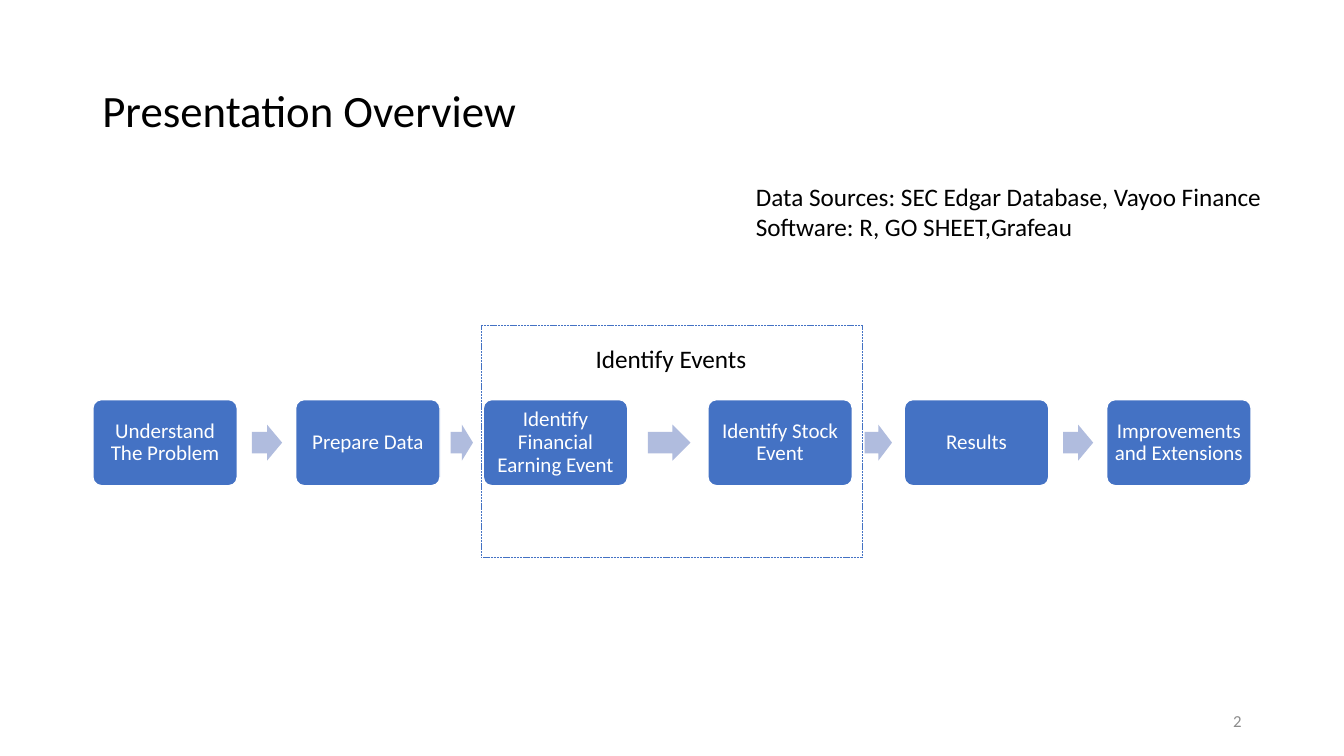
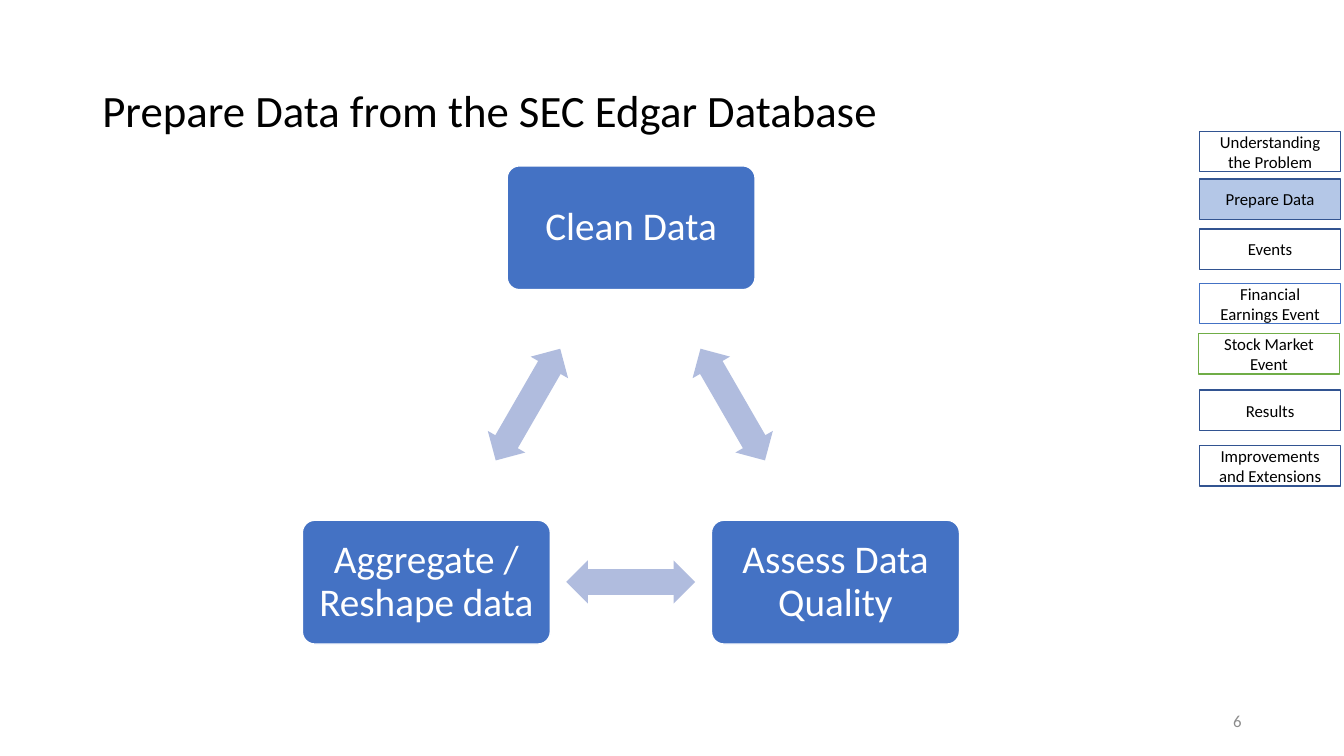
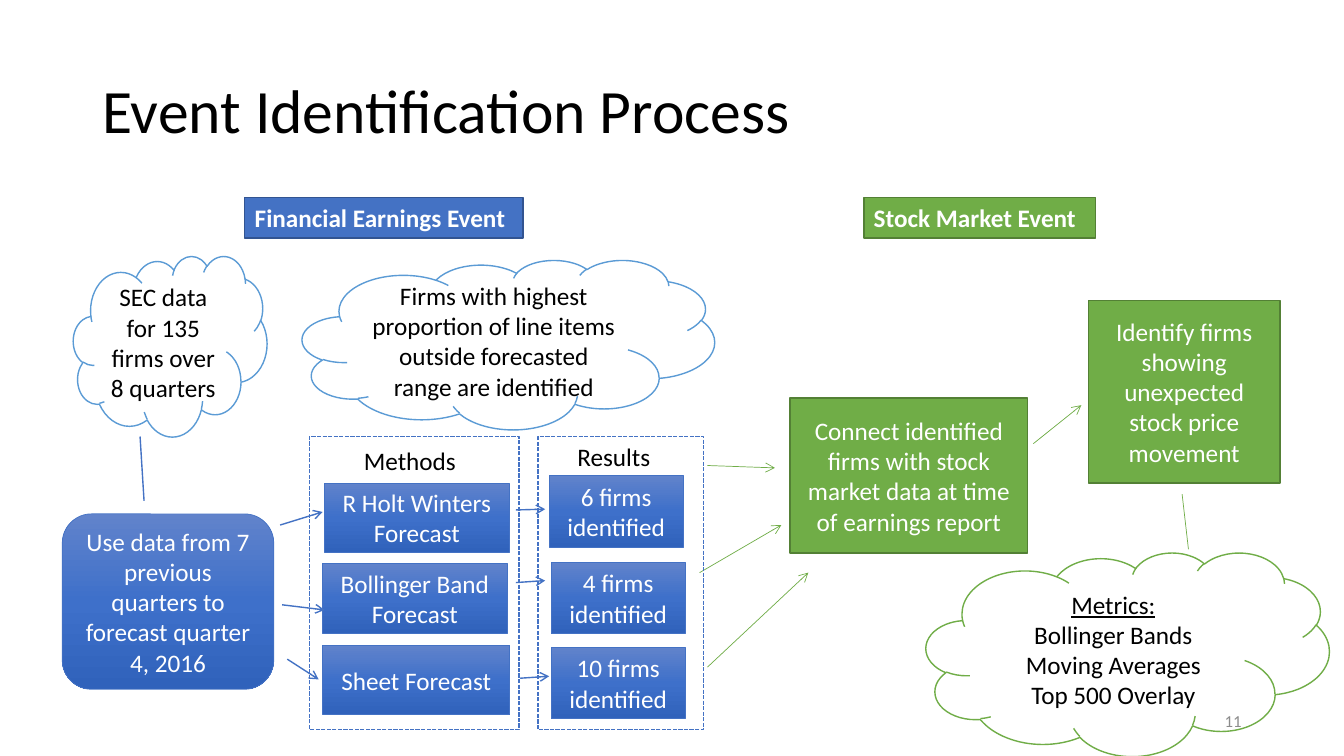
import copy

import pptx
import pptx.dml.color
import pptx.enum.dml
import pptx.enum.shapes
import pptx.enum.text
import pptx.oxml
import pptx.oxml.ns
import pptx.util

Cm = pptx.util.Cm
Pt = pptx.util.Pt
RGBColor = pptx.dml.color.RGBColor
Shape = pptx.enum.shapes.MSO_SHAPE
Align = pptx.enum.text.PP_ALIGN
Anchor = pptx.enum.text.MSO_ANCHOR
Dash = pptx.enum.dml.MSO_LINE
qn = pptx.oxml.ns.qn

FONT = "Calibri"
BLACK = RGBColor(0x00, 0x00, 0x00)
WHITE = RGBColor(0xFF, 0xFF, 0xFF)
GREY = RGBColor(0x8C, 0x8C, 0x8C)
BLUE = RGBColor(0x44, 0x72, 0xC4)
DARK_BLUE = RGBColor(0x32, 0x54, 0x91)
LIGHT_BLUE = RGBColor(0xB4, 0xC7, 0xE7)
CLOUD_BLUE = RGBColor(0x5B, 0x9B, 0xD5)
ARROW_BLUE = RGBColor(0xB0, 0xBC, 0xDE)
GREEN = RGBColor(0x70, 0xAD, 0x47)
DARK_GREEN = RGBColor(0x53, 0x80, 0x35)
BLUE_GRADIENT = [
    RGBColor(0x61, 0x83, 0xCB),
    RGBColor(0x3E, 0x70, 0xCA),
    RGBColor(0x30, 0x62, 0xBB),
]


def add_box(slide, text, at, kind=None, fill=None, line=None, line_width=1, dash=None,
            adjustments=(), rotation=0, size=18, color=BLACK, bold=False,
            underline_first=False, align=Align.CENTER, anchor=Anchor.MIDDLE,
            spacing=None, insets=(0.25, 0.13)):
    position = [Cm(value) for value in at]
    if kind is None:
        shape = slide.shapes.add_textbox(*position)
    else:
        shape = slide.shapes.add_shape(kind, *position)
        shape.shadow.inherit = False
        shape.rotation = rotation
        for index, value in enumerate(adjustments):
            shape.adjustments[index] = value
        if fill is None:
            shape.fill.background()
        elif isinstance(fill, list):
            shape.fill.gradient()
            shape.fill.gradient_angle = 270
            stop_list = shape.element.spPr.find(qn("a:gradFill")).find(qn("a:gsLst"))
            stop_list.insert(1, copy.deepcopy(stop_list[0]))
            for index, stop in enumerate(shape.fill.gradient_stops):
                stop.position = index / 2
                stop.color.rgb = fill[index]
        else:
            shape.fill.solid()
            shape.fill.fore_color.rgb = fill
        if line is None:
            shape.line.fill.background()
        else:
            shape.line.color.rgb = line
            shape.line.width = Pt(line_width)
            if dash is not None:
                shape.line.dash_style = dash
    if not text:
        return
    frame = shape.text_frame
    frame.word_wrap = True
    frame.vertical_anchor = anchor
    frame.margin_left = frame.margin_right = Cm(insets[0])
    frame.margin_top = frame.margin_bottom = Cm(insets[1])
    frame.text = text
    for index, paragraph in enumerate(frame.paragraphs):
        paragraph.alignment = align
        if spacing is not None:
            paragraph.line_spacing = spacing
        font = paragraph.runs[0].font
        font.name = FONT
        font.size = Pt(size)
        font.color.rgb = color
        font.bold = bold
        if underline_first and index == 0:
            font.underline = True


def add_line(slide, ends, color, width, dash=None, arrow=False):
    connector = slide.shapes.add_connector(
        pptx.enum.shapes.MSO_CONNECTOR.STRAIGHT, *[Cm(value) for value in ends])
    connector.line.color.rgb = color
    connector.line.width = Pt(width)
    if dash is not None:
        connector.line.dash_style = dash
    properties = connector.element.spPr
    if arrow:
        head = pptx.oxml.parse_xml(
            '<a:tailEnd xmlns:a="http://schemas.openxmlformats.org/drawingml/2006/main" type="arrow"/>')
        properties.find(qn("a:ln")).append(head)
    properties.append(pptx.oxml.parse_xml(
        '<a:effectLst xmlns:a="http://schemas.openxmlformats.org/drawingml/2006/main"/>'))


presentation = pptx.Presentation()
presentation.slide_width = Cm(33.87)
presentation.slide_height = Cm(19.05)

slides = []
for title, title_size in [
    ("Presentation Overview", 32),
    ("Prepare Data from the SEC Edgar Database", 32),
    ("Event Identification Process", 44),
]:
    slide = presentation.slides.add_slide(presentation.slide_layouts[6])
    add_box(slide, title, (2.33, 1.01, 29.21, 3.68), size=title_size,
            align=Align.LEFT, spacing=0.9)
    slides.append(slide)
overview, preparation, process = slides

step_style = dict(kind=Shape.ROUNDED_RECTANGLE, adjustments=[0.1], fill=BLUE,
                  line=WHITE, color=WHITE, spacing=0.9)
arrow_style = dict(fill=ARROW_BLUE, adjustments=[0.6, 0.5])
label_style = dict(align=Align.LEFT, anchor=Anchor.TOP)

for left, text in [
    (2.34, "Understand The Problem"),
    (7.45, "Prepare Data"),
    (12.18, "Identify Financial Earning Event"),
    (17.84, "Identify Stock Event"),
    (22.79, "Results"),
    (27.89, "Improvements and Extensions"),
]:
    add_box(overview, text, (left, 10.07, 3.64, 2.17), size=15,
            insets=(0.14, 0.14), **step_style)
for left, width in [(6.35, 0.76), (11.36, 0.56), (16.33, 1.07), (21.79, 0.69), (26.79, 0.76)]:
    add_box(overview, "", (left, 10.7, width, 0.91), kind=Shape.RIGHT_ARROW, **arrow_style)

frame_left, frame_top, frame_right, frame_bottom = 12.12, 8.2, 21.72, 14.05
for ends in [
    (frame_left, frame_top, frame_left, frame_bottom),
    (frame_right, frame_top, frame_right, frame_bottom),
    (frame_left, frame_top, frame_right, frame_top),
    (frame_right, frame_bottom, frame_left, frame_bottom),
]:
    add_line(overview, ends, BLUE, 0.5, dash=Dash.SQUARE_DOT)
add_box(overview, "Identify Events", (14.76, 8.53, 4.37, 1.02), **label_style)
add_box(overview, "Data Sources: SEC Edgar Database, Vayoo Finance\nSoftware: R, GO SHEET,Grafeau",
        (18.8, 4.32, 13.87, 2.08), insets=(0.25, 0.25), **label_style)

for left, top, text in [
    (12.78, 4.18, "Clean Data"),
    (17.93, 13.11, "Assess Data Quality"),
    (7.62, 13.11, "Aggregate / Reshape data"),
]:
    add_box(preparation, text, (left, top, 6.25, 3.12), size=28,
            insets=(0.3, 0.3), **step_style)
for left, top, rotation in [(16.84, 9.65, 60), (14.27, 14.12, 180), (11.68, 9.65, 300)]:
    add_box(preparation, "", (left, top, 3.25, 1.09), kind=Shape.LEFT_RIGHT_ARROW,
            rotation=rotation, **arrow_style)
for left, top, text, fill, line in [
    (30.23, 3.31, "Understanding the Problem", None, DARK_BLUE),
    (30.23, 4.51, "Prepare Data", LIGHT_BLUE, DARK_BLUE),
    (30.23, 5.77, "Events", None, DARK_BLUE),
    (30.23, 7.14, "Financial Earnings Event", WHITE, BLUE),
    (30.2, 8.41, "Stock Market Event", WHITE, GREEN),
    (30.23, 9.83, "Results", None, DARK_BLUE),
    (30.23, 11.23, "Improvements and Extensions", None, DARK_BLUE),
]:
    add_box(preparation, text, (left, top, 3.56, 1.02), kind=Shape.FLOWCHART_PROCESS,
            fill=fill, line=line, size=12)

for text, left, width, fill, line in [
    ("Financial Earnings Event", 6.17, 7.01, BLUE, DARK_BLUE),
    ("Stock Market Event", 21.77, 5.84, GREEN, DARK_GREEN),
]:
    add_box(process, text, (left, 4.98, width, 1.02), kind=Shape.RECTANGLE,
            fill=fill, line=line, color=WHITE, bold=True, **label_style)

gradient_style = dict(fill=BLUE_GRADIENT, line=BLUE, line_width=0.5, color=WHITE)
add_box(process, "Use data from 7 previous quarters to forecast quarter 4, 2016",
        (1.57, 12.95, 5.33, 4.42), kind=Shape.FLOWCHART_ALTERNATE_PROCESS, **gradient_style)
for text, at in [
    ("R Holt Winters Forecast", (8.18, 12.17, 4.65, 1.75)),
    ("Bollinger Band Forecast", (8.13, 14.2, 4.65, 1.75)),
    ("Sheet Forecast", (8.13, 16.26, 4.72, 1.75)),
    ("6 firms identified", (13.84, 11.99, 3.38, 1.8)),
    ("4 firms identified", (13.89, 14.17, 3.38, 1.8)),
    ("10 firms identified", (13.89, 16.31, 3.38, 1.8)),
]:
    add_box(process, text, at, kind=Shape.RECTANGLE, **gradient_style)
for text, at in [
    ("Connect identified firms with stock market data at time of earnings report",
     (19.91, 10.03, 5.99, 3.91)),
    ("Identify firms showing unexpected stock price movement", (27.43, 7.57, 4.83, 4.6)),
]:
    add_box(process, text, at, kind=Shape.RECTANGLE, fill=GREEN, line=DARK_GREEN, color=WHITE)
for text, at, line, underline_first in [
    ("SEC data for 135 firms over 8 quarters", (1.85, 6.45, 4.88, 4.55), CLOUD_BLUE, False),
    ("Firms with highest proportion of line items outside forecasted range are identified",
     (7.62, 6.55, 10.39, 4.27), CLOUD_BLUE, False),
    ("Metrics:\nBollinger Bands\nMoving Averages\nTop 500 Overlay",
     (23.34, 13.92, 10.16, 5.13), GREEN, True),
]:
    add_box(process, text, at, kind=Shape.CLOUD, fill=WHITE, line=line,
            underline_first=underline_first)

add_line(process, (3.53, 11, 3.63, 12.62), BLUE, 1)
add_line(process, (29.79, 12.45, 29.95, 13.84), GREEN, 0.5)
for ends in [
    (7.06, 13.23, 8.13, 12.9),
    (7.11, 15.24, 8.18, 15.37),
    (7.24, 16.61, 8.03, 17.12),
    (13, 12.85, 13.74, 12.83),
    (13, 14.68, 13.74, 14.63),
    (13.11, 17.09, 13.84, 17.04),
]:
    add_line(process, ends, BLUE, 1, arrow=True)
for ends in [
    (17.83, 11.73, 19.53, 11.79),
    (17.63, 14.43, 19.69, 13.23),
    (17.83, 16.81, 20.37, 14.43),
    (26.04, 11.18, 27.25, 10.21),
]:
    add_line(process, ends, GREEN, 0.5, arrow=True)

for text, label_at, frame_at in [
    ("Methods", (8.92, 11.1, 2.92, 1.02), (7.8, 11, 5.28, 7.39)),
    ("Results", (14.3, 11, 2.41, 1.02), (13.56, 11, 4.17, 7.39)),
]:
    add_box(process, "", frame_at, kind=Shape.RECTANGLE, line=BLUE, dash=Dash.SQUARE_DOT)
    add_box(process, text, label_at, **label_style)

for slide, number in zip(slides, ["2", "6", "11"]):
    add_box(slide, number, (23.92, 17.65, 7.62, 1.02), size=12, color=GREY, align=Align.RIGHT)

presentation.save("out.pptx")
